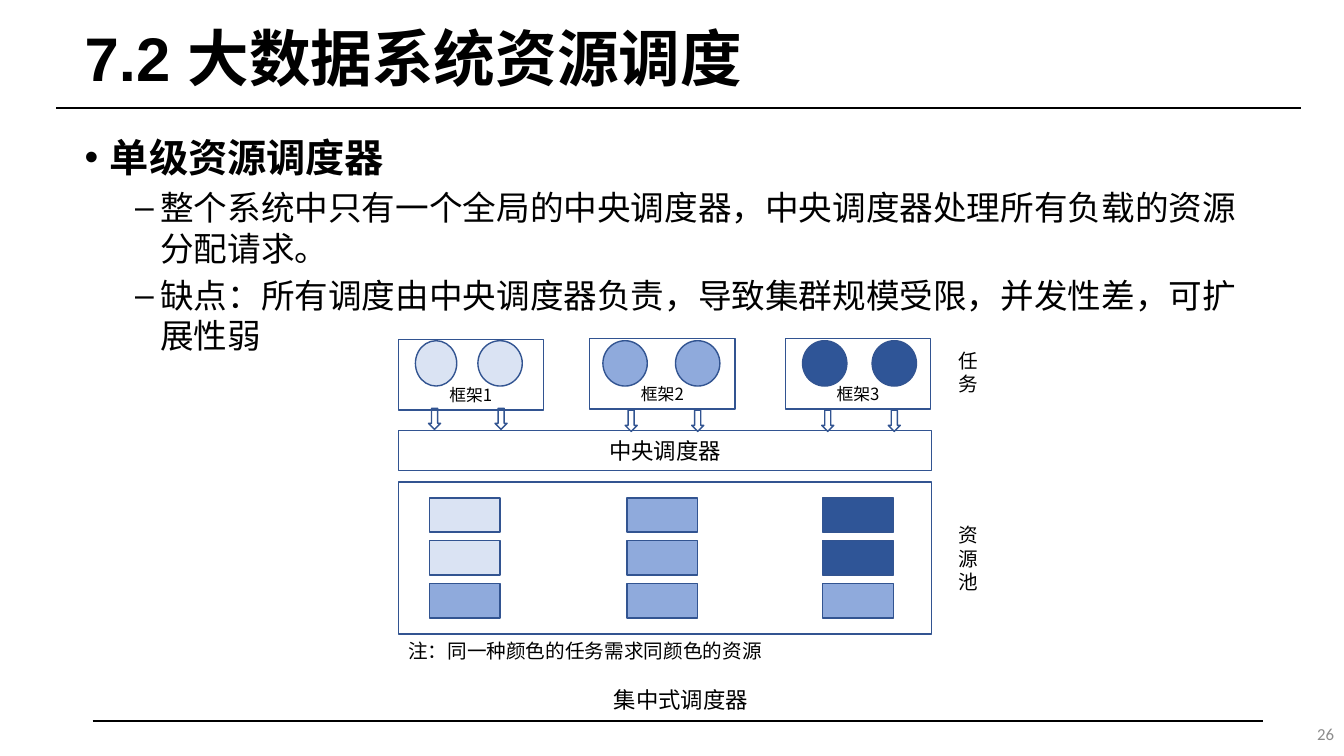
"""Build the slide on the single-level resource scheduler."""
from pptx import Presentation
from pptx.dml.color import RGBColor
from pptx.enum.shapes import MSO_CONNECTOR, MSO_SHAPE
from pptx.enum.text import MSO_ANCHOR, MSO_AUTO_SIZE, PP_ALIGN
from pptx.oxml.ns import qn
from pptx.util import Inches, Pt

BLACK = RGBColor(0x00, 0x00, 0x00)
GRAY = RGBColor(0x8C, 0x8C, 0x8C)
OUTLINE = RGBColor(0x32, 0x54, 0x91)
PALE = RGBColor(0xDA, 0xE3, 0xF3)
MEDIUM = RGBColor(0x8F, 0xAA, 0xDC)
DARK = RGBColor(0x2F, 0x55, 0x97)
RECTANGLE, ELLIPSE = MSO_SHAPE.RECTANGLE, MSO_SHAPE.OVAL
DOWN_ARROW, STRAIGHT = MSO_SHAPE.DOWN_ARROW, MSO_CONNECTOR.STRAIGHT
TOP, MIDDLE, BOTTOM = MSO_ANCHOR.TOP, MSO_ANCHOR.MIDDLE, MSO_ANCHOR.BOTTOM
LEFT, CENTER, RIGHT = PP_ALIGN.LEFT, PP_ALIGN.CENTER, PP_ALIGN.RIGHT
CJK = "Noto Sans CJK SC"

deck = Presentation()
deck.slide_width, deck.slide_height = Inches(13.33), Inches(7.5)
page = deck.slides.add_slide(deck.slide_layouts[5 - 4])


def add_block(kind, left, top, width, height, fill=None, text="", size=12, anchor=MIDDLE):
    block = page.shapes.add_shape(
        kind, Inches(left), Inches(top), Inches(width), Inches(height))
    block.shadow.inherit = False
    block.line.color.rgb = OUTLINE
    block.line.width = Pt(1)
    if fill is None:
        block.fill.background()
    else:
        block.fill.solid()
        block.fill.fore_color.rgb = fill
    if text:
        block.text_frame.vertical_anchor = anchor
        para = block.text_frame.paragraphs[0]
        para.text, para.alignment = text, CENTER
        para.font.name, para.font.size = CJK, Pt(size)
        para.font.color.rgb = BLACK


def add_label(text, left, top, width, height, size=14, font=CJK, color=BLACK,
              align=LEFT, anchor=TOP, wrap=True):
    box = page.shapes.add_textbox(
        Inches(left), Inches(top), Inches(width), Inches(height))
    box.text_frame.word_wrap = wrap
    box.text_frame.vertical_anchor = anchor
    para = box.text_frame.paragraphs[0]
    para.text, para.alignment = text, align
    para.line_spacing = Pt(size * 1.2)
    para.font.name, para.font.size = font, Pt(size)
    para.font.color.rgb = color


for start, end, height, weight in [(0.56, 12.9, 1.07, 1.75), (0.92, 12.53, 7.15, 1.25)]:
    rule = page.shapes.add_connector(
        STRAIGHT, Inches(start), Inches(height), Inches(end), Inches(height))
    rule.line.color.rgb = BLACK
    rule.line.width = Pt(weight)
    properties = rule.element.spPr
    properties.append(properties.makeelement(qn("a:effectLst"), {}))

title = page.shapes.title
title.left, title.top = Inches(0.74), Inches(0.15)
title.width, title.height = Inches(11.95), Inches(0.92)
title.text_frame.auto_size = MSO_AUTO_SIZE.NONE
title.text_frame.vertical_anchor = MIDDLE
heading = title.text_frame.paragraphs[0]
heading.text, heading.alignment, heading.line_spacing = "7.2 大数据系统资源调度", LEFT, 0.9
heading.font.name, heading.font.size, heading.font.bold = "Arial", Pt(44), True
heading.font.color.rgb = BLACK

body = page.placeholders[1]
body.left, body.top = Inches(0.74), Inches(1.27)
body.width, body.height = Inches(11.95), Inches(3.18)
body.text_frame.auto_size = MSO_AUTO_SIZE.NONE
points = [
    (0, "单级资源调度器"),
    (1, "整个系统中只有一个全局的中央调度器，中央调度器处理所有负载的资源分配请求。"),
    (1, "缺点：所有调度由中央调度器负责，导致集群规模受限，并发性差，可扩展性弱"),
]
body.text_frame.text = "\n".join(text for level, text in points)
for para, (level, text) in zip(body.text_frame.paragraphs, points):
    para.level = level
    para.space_before = Pt((10, 5)[level])
    para.font.name, para.font.size = "Calibri", Pt((28, 24)[level])
    para.font.bold = level == 0
    para.font.color.rgb = BLACK
    indents = para._p.get_or_add_pPr()
    indents.set("marL", str(Inches((0.25, 0.75)[level])))
    indents.set("indent", str(Inches(-0.25)))

frameworks = [
    (3.95, 3.37, [(4.12, 0.41), (4.74, 0.44)], 4.25, 4.05, 4.26, [PALE, PALE, MEDIUM]),
    (5.85, 3.36, [(5.98, 0.44), (6.7, 0.44)], 6.2, 4.07, 6.22, [MEDIUM] * 3),
    (7.79, 3.36, [(7.96, 0.44), (8.65, 0.44)], 8.15, 4.07, 8.16, [DARK, DARK, MEDIUM]),
]
for number, framework in enumerate(frameworks, 1):
    left, top, tasks, arrow_left, arrow_top, resource_left, colors = framework
    for task_left, task_width in tasks:
        add_block(ELLIPSE, task_left, 3.38, task_width, 0.45, colors[0])
    add_block(RECTANGLE, left, top, 1.44, 0.7, text=f"框架{number}", anchor=BOTTOM)
    for column in range(2):
        add_block(DOWN_ARROW, arrow_left + column * 0.66, arrow_top, 0.12, 0.21)
    for row, color in enumerate(colors):
        add_block(RECTANGLE, resource_left, 4.94 + row * 0.425, 0.7, 0.34, color)

add_block(RECTANGLE, 3.95, 4.27, 5.29, 0.4, text="中央调度器", size=16)
add_block(RECTANGLE, 3.95, 4.78, 5.29, 1.51)

add_label("任务", 9.41, 3.41, 0.51, 0.57)
add_label("资源池", 9.41, 5.14, 0.51, 0.81)
add_label("注：同一种颜色的任务需求同颜色的资源", 3.95, 6.29, 4.17, 0.34)
add_label("集中式调度器", 5.99, 6.76, 1.55, 0.37, size=16, wrap=False)
add_label("26", 10.33, 7.08, 3, 0.4, 12, "Calibri", GRAY, RIGHT, MIDDLE)

deck.save("out.pptx")
